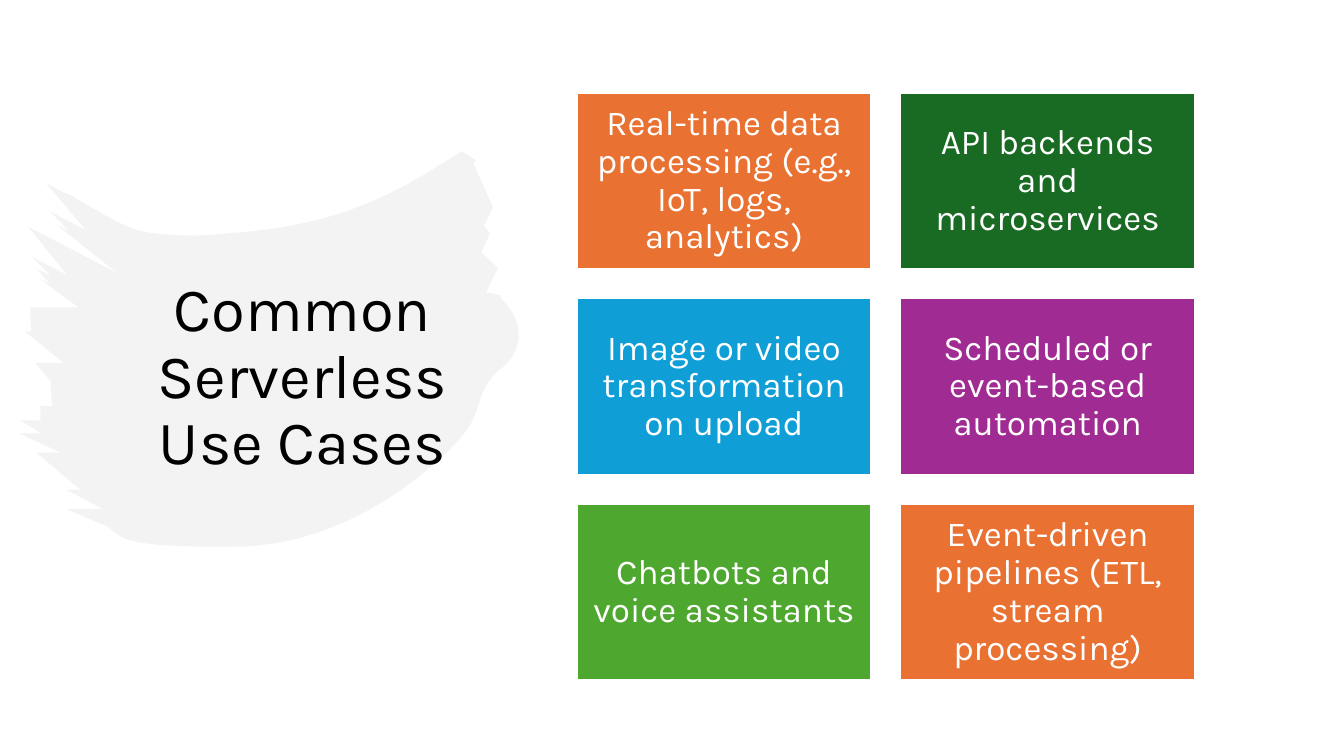
from dataclasses import dataclass

from lxml import etree
from pptx import Presentation
from pptx import util as u
from pptx.dml.color import RGBColor
from pptx.enum import shapes, text
from pptx.oxml.ns import qn


@dataclass(frozen=True)
class Theme:
    font: str = "Karla"
    title_size: int = 44
    tile_size: int = 25
    ink: str = "000000"
    paper: str = "FFFFFF"
    brush: str = "E8E8E8"
    brush_opacity: int = 50
    orange: str = "E97132"
    dark_green: str = "196B24"
    blue: str = "0F9ED5"
    purple: str = "A02B93"
    green: str = "4EA72E"


THEME = Theme()

USE_CASES = [
    ("Real-time data processing (e.g., IoT, logs, analytics)", THEME.orange),
    ("API backends and microservices", THEME.dark_green),
    ("Image or video transformation on upload", THEME.blue),
    ("Scheduled or event-based automation", THEME.purple),
    ("Chatbots and voice assistants", THEME.green),
    ("Event-driven pipelines (ETL, stream processing)", THEME.orange),
]
COLUMNS = 2
GRID_LEFT, GRID_TOP = 5.72, 0.92
TILE_WIDTH, TILE_HEIGHT = 2.92, 1.75
COLUMN_STEP, ROW_STEP = 3.21, 2.04

# Each bristle: x and y of its tip, then the signed run back to its notch.
RIGHT_BRISTLES = [(4.72, 1.59, -0.02), (4.89, 2.06, -0.09), (4.86, 2.32, -0.09),
                  (4.94, 2.66, -0.12), (4.97, 2.93, -0.01)]
LOWER_BRISTLES = [(0.66, 5.05, 0.36), (0.66, 4.86, 0.14), (0.36, 4.49, 0.24),
                  (0.19, 4.3, 0.22), (0.2, 4.17, 0.2), (0.4, 4.03, 0.12),
                  (0.5, 3.8, 0.02), (0.35, 3.6, 0.28), (0.25, 3.29, 0.06),
                  (0.3, 3.05, 0.48)]
UPPER_BRISTLES = [(0.4, 2.77, 0.1), (0.37, 2.67, 0.14), (0.32, 2.55, 0.35),
                  (0.28, 2.25, 0.89), (0.56, 2.23, 0.13), (0.5, 2.1, 0.35),
                  (0.46, 1.82, 0.21)]
RIGHT_SLOPE, LOWER_SLOPE, UPPER_SLOPE = -2, 0, 0.52


def bristles(tips, slope):
    """Zigzag from each bristle tip to the notch behind it."""
    points = []
    for x, y, run in tips:
        points += [(x, y), (x + run, y + slope * run)]
    return points


def curve(start, first_control, second_control, end, steps=14):
    """Sample a cubic Bezier curve, both ends included."""
    points = []
    for step in range(steps + 1):
        t = step / steps
        s = 1 - t
        weights = (s ** 3, 3 * s * s * t, 3 * s * t * t, t ** 3)
        controls = (start, first_control, second_control, end)
        points.append(tuple(
            sum(weight * control[axis] for weight, control in zip(weights, controls))
            for axis in (0, 1)))
    return points


def brush_outline():
    """Go clockwise from the upper right tip of the brush stroke."""
    upper_tip = (4.58, 1.5)
    right_shoulder, right_waist, right_foot = (4.96, 2.95), (4.94, 3.68), (4.56, 4.35)
    belly, left_foot = (2.49, 5.42), (0.96, 5.18)
    left_shoulder, saddle, upper_neck = (0.67, 1.92), (1.92, 2.34), (4.23, 1.72)
    return [
        upper_tip,
        *bristles(RIGHT_BRISTLES, RIGHT_SLOPE),
        *curve(right_shoulder, (5.22, 3.2), (5.2, 3.5), right_waist),
        *curve(right_waist, (4.7, 3.9), (4.8, 4.1), right_foot),
        *curve(right_foot, (4.56, 4.36), (3.72, 5.33), belly),
        *curve(belly, (0.9, 5.45), (1.3, 5.28), left_foot),
        *bristles(LOWER_BRISTLES, LOWER_SLOPE),
        *bristles(UPPER_BRISTLES, UPPER_SLOPE),
        *curve(left_shoulder, (1.33, 2.3), (1.3, 2.32), saddle),
        *curve(saddle, (2.6, 2.29), (3.3, 2.28), upper_neck),
    ]


class SlideBuilder:
    def __init__(self, slide, theme):
        self.slide = slide
        self.theme = theme

    def brush_stroke(self, outline):
        start, *rest = [(u.Inches(x), u.Inches(y)) for x, y in outline]
        builder = self.slide.shapes.build_freeform(*start)
        builder.add_line_segments(rest, close=True)
        shape = builder.convert_to_shape()
        shape.shadow.inherit = False
        shape.line.fill.background()
        self._fill(shape, self.theme.brush)
        color = shape._element.spPr.find(qn("a:solidFill"))[0]
        alpha = etree.SubElement(color, qn("a:alpha"))
        alpha.set("val", str(self.theme.brush_opacity * 1000))

    def title(self, words, left, top, width, height):
        box = self.slide.shapes.add_textbox(
            u.Inches(left), u.Inches(top), u.Inches(width), u.Inches(height))
        self._write(box.text_frame, words, self.theme.title_size, self.theme.ink)

    def tile(self, words, color, left, top):
        shape = self.slide.shapes.add_shape(
            shapes.MSO_SHAPE.RECTANGLE, u.Inches(left), u.Inches(top),
            u.Inches(TILE_WIDTH), u.Inches(TILE_HEIGHT))
        shape.shadow.inherit = False
        self._fill(shape, color)
        shape.line.color.rgb = RGBColor.from_string(self.theme.paper)
        shape.line.width = u.Pt(1.5)
        frame = shape.text_frame
        frame.margin_top = frame.margin_bottom = u.Inches(0.1)
        self._write(frame, words, self.theme.tile_size, self.theme.paper)

    def _fill(self, shape, color):
        shape.fill.solid()
        shape.fill.fore_color.rgb = RGBColor.from_string(color)

    def _write(self, frame, words, size, color):
        frame.word_wrap = True
        frame.vertical_anchor = text.MSO_ANCHOR.MIDDLE
        paragraph = frame.paragraphs[0]
        paragraph.alignment = text.PP_ALIGN.CENTER
        paragraph.line_spacing = 0.9
        run = paragraph.add_run()
        run.text = words
        run.font.name = self.theme.font
        run.font.size = u.Pt(size)
        run.font.color.rgb = RGBColor.from_string(color)


def main():
    presentation = Presentation()
    presentation.slide_width = u.Inches(13.33)
    presentation.slide_height = u.Inches(7.5)
    slide = presentation.slides.add_slide(presentation.slide_layouts[6])
    builder = SlideBuilder(slide, THEME)
    builder.brush_stroke(brush_outline())
    builder.title("Common Serverless Use Cases", 1.09, 0.75, 3.82, 6.01)
    for index, (words, color) in enumerate(USE_CASES):
        row, column = divmod(index, COLUMNS)
        builder.tile(words, color, GRID_LEFT + column * COLUMN_STEP, GRID_TOP + row * ROW_STEP)
    presentation.save("out.pptx")


if __name__ == "__main__":
    main()
